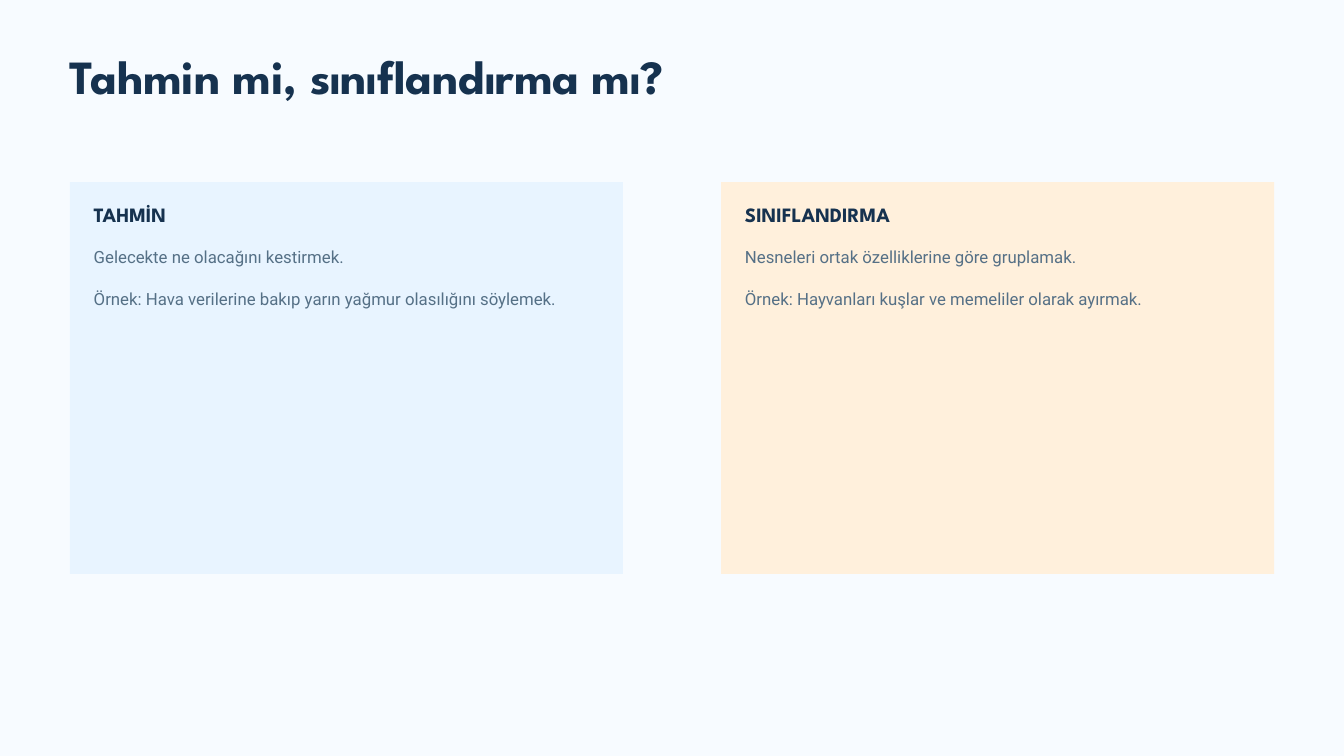
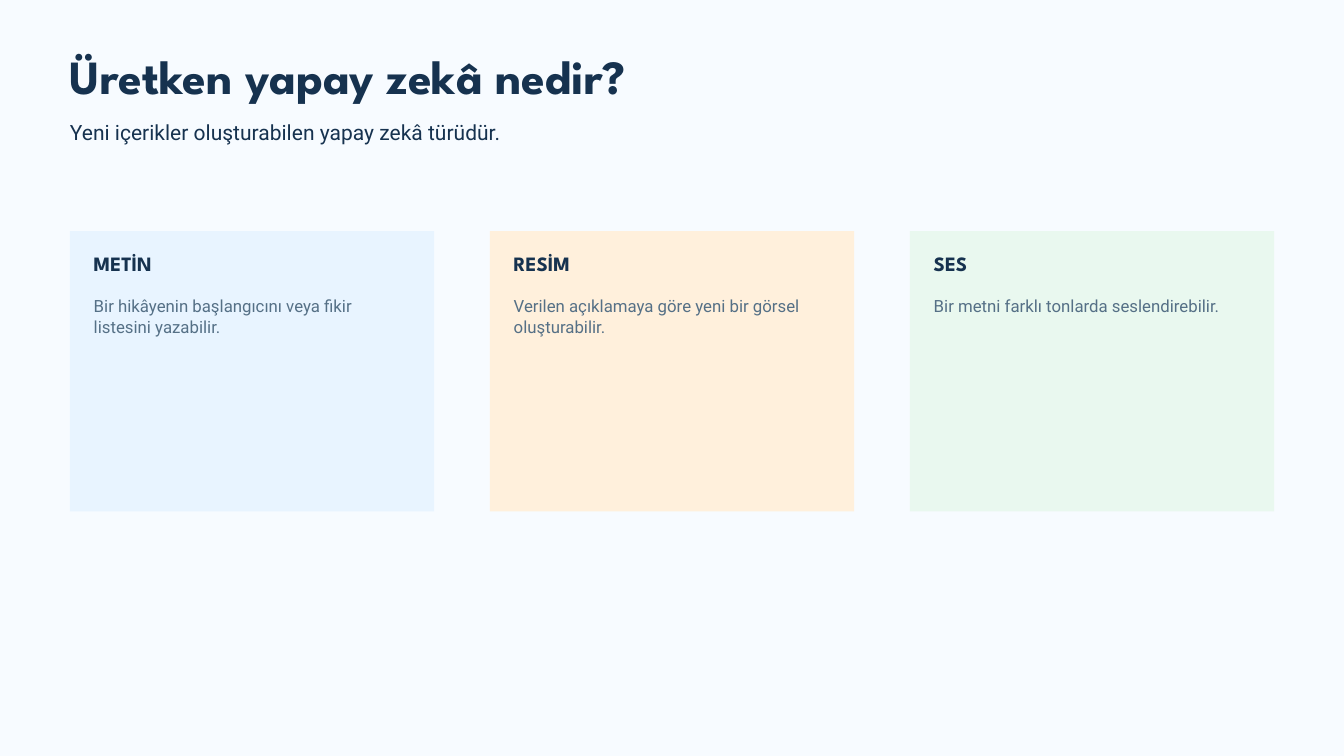
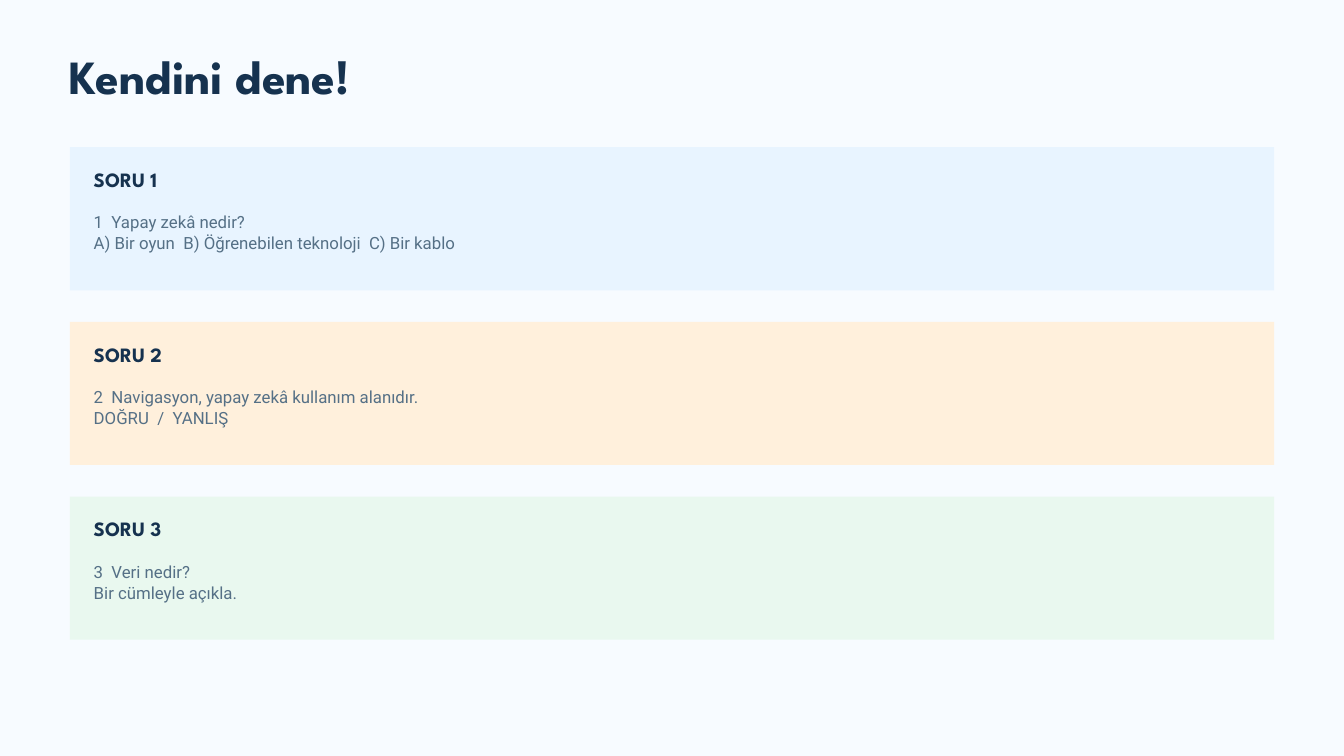
from pptx import Presentation
from pptx.dml.color import RGBColor as RGB
from pptx.enum.shapes import MSO_SHAPE as Shape
from pptx.enum.text import MSO_AUTO_SIZE as Fit
from pptx.util import Inches, Pt

COLORS = {
    "page": "F7FBFF",
    "navy": "16324F",
    "slate": "557086",
    "blue": "E8F4FF",
    "cream": "FFF0DC",
    "mint": "E9F8EF",
}
TINTS = ("blue", "cream", "mint")
HEAD, BODY = "League Spartan", "Roboto"
LEFT, WIDTH = 1.04, 17.92
PAD = 0.355


def color(name):
    return RGB.from_string(COLORS[name])


def write(shapes, text, box, font=BODY, size=18, ink="slate", bold=False,
          line=22.5, gap=0):
    """Add a text box; each line of the text is a paragraph."""
    frame = shapes.add_textbox(*map(Inches, box)).text_frame
    frame.margin_left = frame.margin_right = 0
    frame.margin_top = frame.margin_bottom = 0
    frame.word_wrap = True
    frame.auto_size = Fit.SHAPE_TO_FIT_TEXT
    frame.text = text
    for i, para in enumerate(frame.paragraphs):
        para.line_spacing = Pt(line)
        para.space_before = Pt(gap if i else 0)
        for run in para.runs:
            run.font.name = font
            run.font.size = Pt(size)
            run.font.bold = bold
            run.font.color.rgb = color(ink)


class Deck:
    def __init__(self):
        self.prs = Presentation()
        self.prs.slide_width = Inches(20)
        self.prs.slide_height = Inches(11.25)
        self.slide = None

    def page(self, title):
        self.slide = self.prs.slides.add_slide(self.prs.slide_layouts[6])
        fill = self.slide.background.fill
        fill.solid()
        fill.fore_color.rgb = color("page")
        write(self.slide.shapes, title, (LEFT, 0.81, 15.62, 0.76),
              font=HEAD, size=51, ink="navy", bold=True, line=53.5)

    def lead(self, text):
        write(self.slide.shapes, text, (LEFT, 1.75, 10.42, 0.4),
              size=22.5, ink="navy", line=29.2)

    def card(self, box, tint, head, body, tall, gap=0):
        left, top, width, height = box
        shapes = self.slide.shapes.add_group_shape().shapes
        panel = shapes.add_shape(Shape.RECTANGLE, *map(Inches, box))
        panel.shadow.inherit = False
        panel.fill.solid()
        panel.fill.fore_color.rgb = color(tint)
        panel.line.fill.background()
        left, width = left + PAD, width - 2 * PAD
        write(shapes, head, (left, top + 0.32, width, 0.35),
              font=HEAD, size=21.8, ink="navy", bold=True, line=24.4)
        write(shapes, body, (left, top + 0.95, width, tall), gap=gap)

    def columns(self, cards, top, height, space, tall, gap=0):
        width = (WIDTH - space * (len(cards) - 1)) / len(cards)
        for i, (tint, (head, body)) in enumerate(zip(TINTS, cards)):
            box = (LEFT + i * (width + space), top, width, height)
            self.card(box, tint, head, body, tall, gap)

    def rows(self, cards, top, height, space, tall):
        for i, (tint, (head, body)) in enumerate(zip(TINTS, cards)):
            box = (LEFT, top + i * (height + space), WIDTH, height)
            self.card(box, tint, head, body, tall)


def main():
    deck = Deck()

    # Prediction or classification
    deck.page("Tahmin mi, sınıflandırma mı?")
    deck.columns([
        ("TAHMİN", "Gelecekte ne olacağını kestirmek.\n"
                   "Örnek: Hava verilerine bakıp yarın yağmur olasılığını söylemek."),
        ("SINIFLANDIRMA", "Nesneleri ortak özelliklerine göre gruplamak.\n"
                          "Örnek: Hayvanları kuşlar ve memeliler olarak ayırmak."),
    ], top=2.71, height=5.83, space=1.46, tall=0.93, gap=22.5)

    # Generative AI
    deck.page("Üretken yapay zekâ nedir?")
    deck.lead("Yeni içerikler oluşturabilen yapay zekâ türüdür.")
    deck.columns([
        ("METİN", "Bir hikâyenin başlangıcını veya fikir listesini yazabilir."),
        ("RESİM", "Verilen açıklamaya göre yeni bir görsel oluşturabilir."),
        ("SES", "Bir metni farklı tonlarda seslendirebilir."),
    ], top=3.44, height=4.17, space=0.83, tall=0.62)

    # Quiz
    deck.page("Kendini dene!")
    deck.rows([
        ("SORU 1", "1  Yapay zekâ nedir?\n"
                   "A) Bir oyun  B) Öğrenebilen teknoloji  C) Bir kablo"),
        ("SORU 2", "2  Navigasyon, yapay zekâ kullanım alanıdır.\n"
                   "DOĞRU  /  YANLIŞ"),
        ("SORU 3", "3  Veri nedir?\nBir cümleyle açıkla."),
    ], top=2.19, height=2.13, space=0.47, tall=0.62)

    deck.prs.save("out.pptx")


if __name__ == "__main__":
    main()
